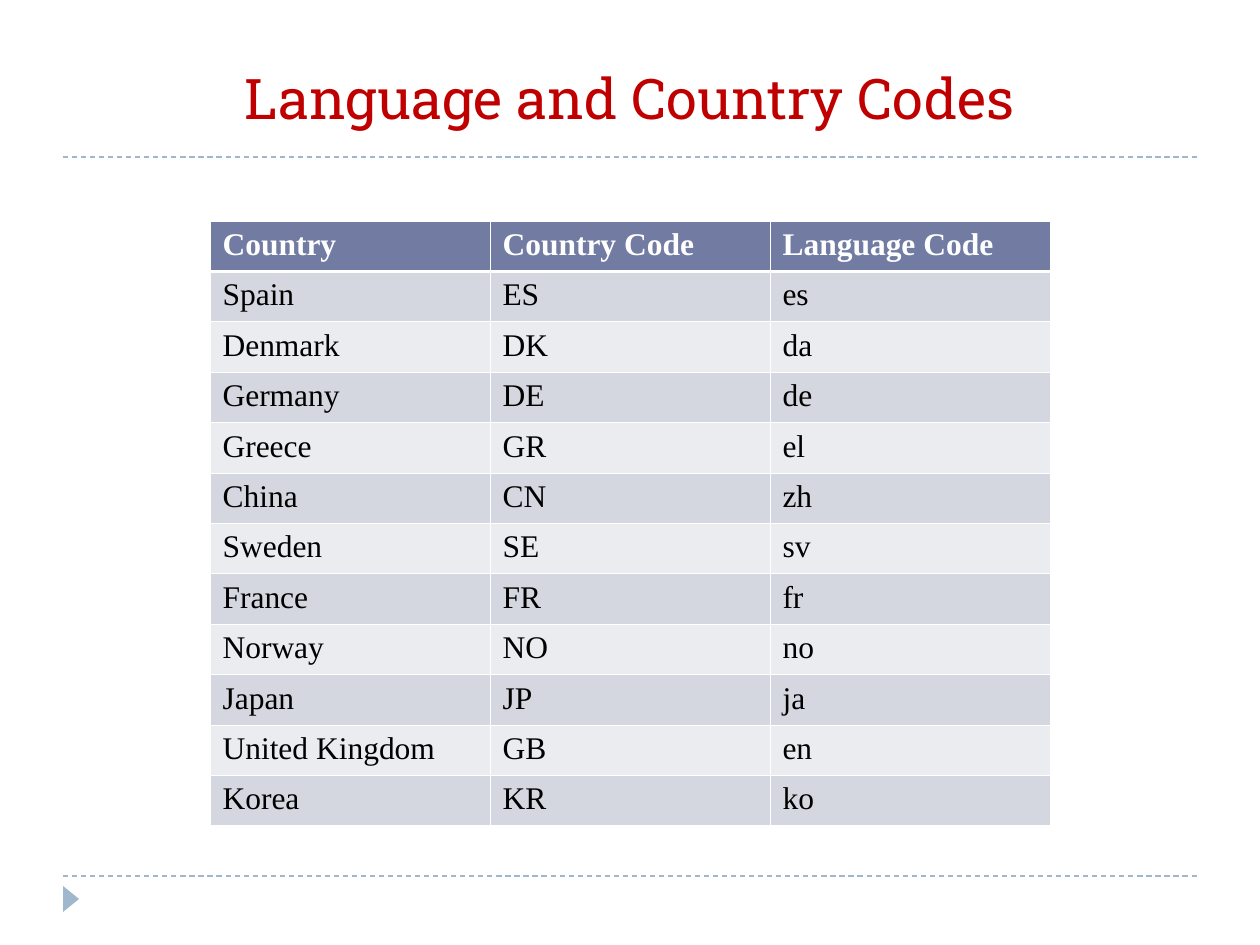
"""Build a slide that lists language and country codes in a table."""
from lxml import etree
from pptx import Presentation
from pptx import util as u
from pptx.dml.color import RGBColor
from pptx.enum import dml, shapes, text
from pptx.oxml.ns import qn

TITLE = "Language and Country Codes"
HEADER = ("Country", "Country Code", "Language Code")
COUNTRIES = [
    ("Spain", "ES", "es"),
    ("Denmark", "DK", "da"),
    ("Germany", "DE", "de"),
    ("Greece", "GR", "el"),
    ("China", "CN", "zh"),
    ("Sweden", "SE", "sv"),
    ("France", "FR", "fr"),
    ("Norway", "NO", "no"),
    ("Japan", "JP", "ja"),
    ("United Kingdom", "GB", "en"),
    ("Korea", "KR", "ko"),
]
COLORS = {
    "title": "C00000",
    "accent": "9FB8CD",
    "header": "727CA3",
    "odd": "D5D7E0",
    "even": "EBECF0",
    "white": "FFFFFF",
    "black": "000000",
}
PX_PER_INCH = 126
RULE_LEFT, RULE_RIGHT = 63, 1197
RULE_TOPS = (157, 876)
TITLE_BOX = (63, 53, 1134, 84)
MARKER_BOX = (58, 891, 26, 16)
TABLE_BOX = (210, 221, 840, 605)
THIN, THICK = 0.45, 1.47


def px(length):
    return u.Inches(length / PX_PER_INCH)


def color(name):
    return RGBColor.from_string(COLORS[name])


def write(frame, words, font, size, tint, bold=False, align=text.PP_ALIGN.LEFT):
    para = frame.paragraphs[0]
    para.alignment = align
    span = para.add_run()
    span.text = words
    span.font.name = font
    span.font.size = u.Pt(size)
    span.font.bold = bold
    span.font.color.rgb = color(tint)


def add_rule(page, top):
    rule = page.shapes.add_connector(
        shapes.MSO_CONNECTOR.STRAIGHT, px(RULE_LEFT), px(top), px(RULE_RIGHT), px(top)
    )
    rule.line.color.rgb = color("accent")
    rule.line.width = u.Pt(0.75)
    rule.line.dash_style = dml.MSO_LINE.DASH
    etree.SubElement(rule._element.spPr, qn("a:effectLst"))


def add_marker(page):
    marker = page.shapes.add_shape(
        shapes.MSO_SHAPE.ISOSCELES_TRIANGLE, *map(px, MARKER_BOX)
    )
    marker.rotation = 90
    marker.shadow.inherit = False
    marker.fill.solid()
    marker.fill.fore_color.rgb = color("accent")
    marker.line.fill.background()


def add_border(cell, side, width):
    border = etree.SubElement(
        cell._tc.get_or_add_tcPr(), qn(f"a:ln{side}"), w=str(u.Pt(width))
    )
    fill = etree.SubElement(border, qn("a:solidFill"))
    etree.SubElement(fill, qn("a:srgbClr"), val=COLORS["white"])


def add_codes(page):
    rows = [HEADER, *COUNTRIES]
    table = page.shapes.add_table(len(rows), len(HEADER), *map(px, TABLE_BOX)).table
    for r, row in enumerate(rows):
        is_header = r == 0
        fill = "header" if is_header else "odd" if r % 2 else "even"
        widths = {
            "L": THIN,
            "R": THIN,
            "T": THICK if r == 1 else THIN,
            "B": THICK if is_header else THIN,
        }
        for c, words in enumerate(row):
            cell = table.cell(r, c)
            for side, width in widths.items():
                add_border(cell, side, width)
            cell.fill.solid()
            cell.fill.fore_color.rgb = color(fill)
            write(cell.text_frame, words, "Times New Roman", 18,
                  "white" if is_header else "black", bold=is_header)


def main():
    deck = Presentation()
    deck.slide_width, deck.slide_height = u.Inches(10), u.Inches(7.5)
    page = deck.slides.add_slide(deck.slide_layouts[5])

    title = page.shapes.title
    title.left, title.top, title.width, title.height = map(px, TITLE_BOX)
    title.text_frame.vertical_anchor = text.MSO_ANCHOR.BOTTOM
    title.text_frame.auto_size = text.MSO_AUTO_SIZE.NONE
    write(title.text_frame, TITLE, "Roboto Slab", 32, "title",
          align=text.PP_ALIGN.CENTER)

    for top in RULE_TOPS:
        add_rule(page, top)
    add_marker(page)
    add_codes(page)
    deck.save("out.pptx")


if __name__ == "__main__":
    main()
